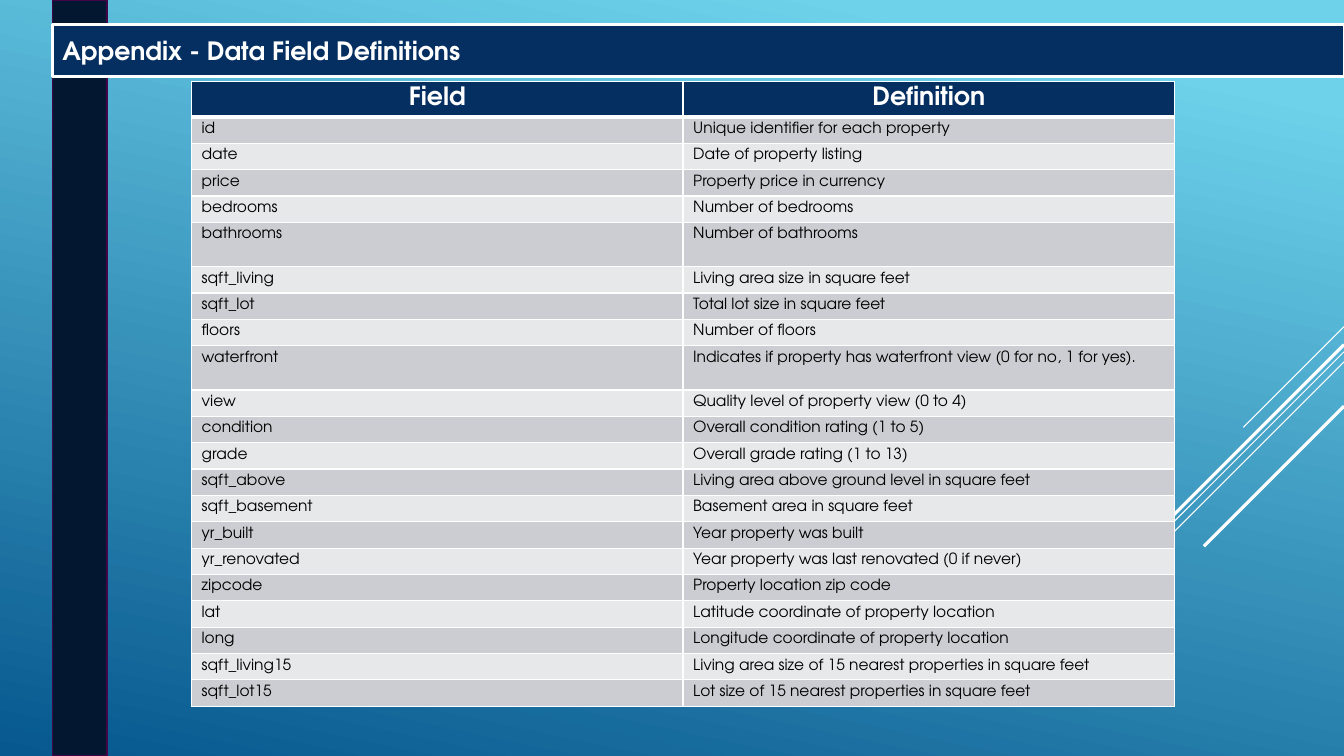
from lxml.etree import SubElement
from pptx import Presentation
from pptx.dml.color import RGBColor
from pptx.enum.shapes import MSO_CONNECTOR as Connector, MSO_SHAPE as Shape
from pptx.enum.text import MSO_ANCHOR as Anchor, PP_ALIGN as Align
from pptx.oxml.ns import qn
from pptx.util import Inches, Pt

FONT = "TeX Gyre Adventor"
COLORS = {
    "sky": "6ED2EB", "sea": "06588E", "white": "FFFFFF", "black": "000000",
    "navy": "052F61", "midnight": "031730", "plum": "420648",
    "odd": "CCCDD2", "even": "E7E8EA",
}
TITLE = "Appendix - Data Field Definitions"
HEADER = ("Field", "Definition")
FIELDS = [
    ("id", "Unique identifier for each property"),
    ("date", "Date of property listing"),
    ("price", "Property price in currency"),
    ("bedrooms", "Number of bedrooms"),
    ("bathrooms", "Number of bathrooms"),
    ("sqft_living", "Living area size in square feet"),
    ("sqft_lot", "Total lot size in square feet"),
    ("floors", "Number of floors"),
    ("waterfront", "Indicates if property has waterfront view (0 for no, 1 for yes)."),
    ("view", "Quality level of property view (0 to 4)"),
    ("condition", "Overall condition rating (1 to 5)"),
    ("grade", "Overall grade rating (1 to 13)"),
    ("sqft_above", "Living area above ground level in square feet"),
    ("sqft_basement", "Basement area in square feet"),
    ("yr_built", "Year property was built"),
    ("yr_renovated", "Year property was last renovated (0 if never)"),
    ("zipcode", "Property location zip code"),
    ("lat", "Latitude coordinate of property location"),
    ("long", "Longitude coordinate of property location"),
    ("sqft_living15", "Living area size of 15 nearest properties in square feet"),
    ("sqft_lot15", "Lot size of 15 nearest properties in square feet"),
]
TALL_FIELDS = ("bathrooms", "waterfront")
WIDTH, HEIGHT = 13.33, 7.5
TABLE_LEFT, TABLE_TOP, TABLE_WIDTH, TABLE_HEIGHT = 1.9, 0.81, 9.75, 6.2
HEADER_HEIGHT, TALL_HEIGHT, CELL_TOP_MARGIN = 0.35, 0.44, 0.05
DIAGONALS = [(3.24, 1, 0.75), (3.49, 3.26, 0.75), (3.59, 2.07, 0.75),
             (3.42, 1.91, 2.25), (4.03, 1.39, 2.25)]


def color(name):
    return RGBColor.from_string(COLORS[name])


def style_text(paragraph, size, color_name, bold):
    font = paragraph.font
    font.name, font.size, font.bold = FONT, Pt(size), bold
    font.color.rgb = color(color_name)


def paint_background(slide):
    fill = slide.background.fill
    fill.gradient()
    fill.gradient_angle = 360 - 102
    for stop, position, name in zip(fill.gradient_stops, (0.1, 1), ("sky", "sea")):
        stop.position = position
        stop.color.rgb = color(name)


def add_diagonal(slide, top, run, weight):
    line = slide.shapes.add_connector(
        Connector.STRAIGHT, Inches(WIDTH), Inches(top), Inches(WIDTH - run), Inches(top + run))
    line.line.color.rgb = color("white")
    line.line.width = Pt(weight)
    SubElement(line._element.spPr, qn("a:effectLst"))


def add_bar(slide, box, fill_name, line_name, weight):
    bar = slide.shapes.add_shape(Shape.RECTANGLE, *map(Inches, box))
    bar.shadow.inherit = False
    bar.fill.solid()
    bar.fill.fore_color.rgb = color(fill_name)
    bar.line.color.rgb = color(line_name)
    bar.line.width = Pt(weight)
    return bar


def add_borders(cell, top, bottom):
    properties = cell._tc.get_or_add_tcPr()
    for side, weight in (("L", 1), ("R", 1), ("T", top), ("B", bottom)):
        border = SubElement(properties, qn(f"a:ln{side}"), w=str(Pt(weight)))
        fill = SubElement(border, qn("a:solidFill"))
        SubElement(fill, qn("a:srgbClr"), val=COLORS["white"])


def fill_cell(cell, text, row):
    header = row == 0
    add_borders(cell, 3 if row == 1 else 1, 3 if header else 1)
    cell.fill.solid()
    cell.fill.fore_color.rgb = color("navy" if header else "odd" if row % 2 else "even")
    cell.margin_top, cell.margin_bottom = Inches(CELL_TOP_MARGIN), 0
    cell.text = text
    paragraph = cell.text_frame.paragraphs[0]
    if header:
        paragraph.alignment = Align.CENTER
        style_text(paragraph, 18, "white", True)
    else:
        style_text(paragraph, 11, "black", False)


def add_definitions(slide):
    rows = [HEADER] + FIELDS
    short_rows = len(FIELDS) - len(TALL_FIELDS)
    short_height = (TABLE_HEIGHT - HEADER_HEIGHT - len(TALL_FIELDS) * TALL_HEIGHT) / short_rows
    box = (TABLE_LEFT, TABLE_TOP, TABLE_WIDTH, TABLE_HEIGHT)
    table = slide.shapes.add_table(len(rows), len(HEADER), *map(Inches, box)).table
    for row, texts in enumerate(rows):
        height = TALL_HEIGHT if texts[0] in TALL_FIELDS else short_height
        table.rows[row].height = Inches(height if row else HEADER_HEIGHT)
        for column, text in enumerate(texts):
            fill_cell(table.cell(row, column), text, row)


def main():
    """Build the data field definitions slide."""
    presentation = Presentation()
    presentation.slide_width, presentation.slide_height = Inches(WIDTH), Inches(HEIGHT)
    slide = presentation.slides.add_slide(presentation.slide_layouts[6])
    paint_background(slide)
    for diagonal in DIAGONALS:
        add_diagonal(slide, *diagonal)
    add_bar(slide, (0.52, 0, 0.54, HEIGHT), "midnight", "plum", 1.25)
    title = add_bar(slide, (0.52, 0.24, 12.82, 0.52), "navy", "white", 2.25)
    title.text_frame.text = TITLE
    title.text_frame.vertical_anchor = Anchor.MIDDLE
    paragraph = title.text_frame.paragraphs[0]
    paragraph.alignment = Align.LEFT
    style_text(paragraph, 18, "white", True)
    add_definitions(slide)
    presentation.save("out.pptx")


if __name__ == "__main__":
    main()
